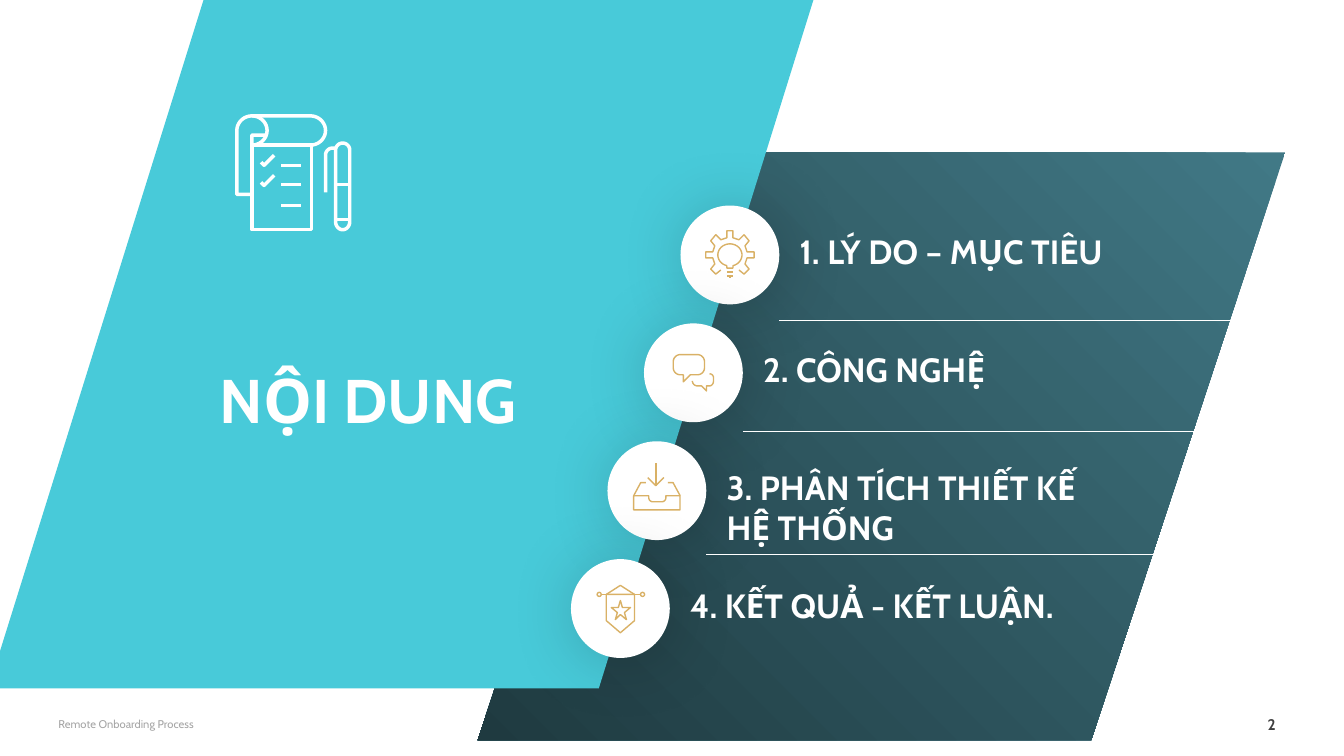
import math
from dataclasses import dataclass

import pptx
import pptx.dml.color
import pptx.enum.shapes
import pptx.enum.text
import pptx.oxml
import pptx.oxml.ns
import pptx.util

Cm = pptx.util.Cm
Pt = pptx.util.Pt
Rgb = pptx.dml.color.RGBColor.from_string
Preset = pptx.enum.shapes.MSO_SHAPE
Anchor = pptx.enum.text.MSO_ANCHOR
Align = pptx.enum.text.PP_ALIGN
Fit = pptx.enum.text.MSO_AUTO_SIZE
ICON_STEP = 0.0254


@dataclass(frozen=True)
class Theme:
    """Colours, type sizes and line widths of the slide."""
    font: str = "Cabin"
    white: str = "FFFFFF"
    panel: str = "48CAD9"
    band_light: str = "417986"
    band_dark: str = "1F3A40"
    gold: str = "D9B166"
    number: str = "404040"
    footer: str = "A6A6A6"
    title_size: int = 44
    item_size: int = 24
    number_size: int = 11
    footer_size: int = 8


@dataclass(frozen=True)
class Box:
    """A rectangle in centimetres."""
    left: float
    top: float
    width: float
    height: float

    def lengths(self):
        """Return the four sides as lengths."""
        return Cm(self.left), Cm(self.top), Cm(self.width), Cm(self.height)


THEME = Theme()


def arc(x, y, across, down, start, end):
    """Return points along an elliptical arc, in degrees clockwise from the right."""
    count = max(4, abs(end - start) // 10)
    angles = [math.radians(start + (end - start) * step / count) for step in range(count + 1)]
    return [(x + across * math.cos(angle), y + down * math.sin(angle)) for angle in angles]


def mirror(points, axis):
    """Return points reflected across a vertical axis, in reverse order."""
    return [(2 * axis - x, y) for x, y in reversed(points)]


def ring(points):
    """Return points closed back to the first."""
    return points + points[:1]


GEAR_HALF = [(58, 64), (63, 68), (68, 63), (64, 58), (66, 52), (73, 52), (73, 46),
             (66, 46), (64, 40), (68, 35), (63, 29), (58, 34), (52, 32), (52, 25)]
TRAY_FLAP = [(26, 54), (33, 41), (38, 41)]
CHECKLIST = [
    (Preset.RECTANGLE, 15, 29, 59, 84),
    [(15, 78), (0, 78), *arc(15, 14.5, 15, 14.5, 180, 450), (15, 19), (28, 19)],
    [*arc(73, 14.5, 15, 14.5, 90, -90), (15, 0)],
    *[[(44, y), (64, y)] for y in (49, 68, 89)],
    *[[(24, y), (27, y + 3), (37, y - 7)] for y in (46, 66)],
    ring(arc(105, 105, 7, 8, 0, 180) + arc(105, 34, 7, 7, 180, 360)),
    *[[(98, y), (112, y)] for y in (103, 68)],
    [(88, 76), *arc(95, 39, 7, 7, 180, 270), (98, 32)],
]
GEAR = [
    GEAR_HALF + mirror(GEAR_HALF, 49),
    *[[(46, y), (52, y)] for y in (66, 70)],
    [(49, 70), (49, 72)],
    ring(arc(49, 49, 12, 11, 105, 435) + [(52, 62), (46, 62)]),
]
CHAT = [
    ring(arc(36, 38, 7, 7, 180, 270) + arc(53, 38, 7, 7, 270, 360) + arc(53, 44, 7, 7, 0, 90)
         + [(46, 51), (39, 58), (39, 51)] + arc(36, 44, 7, 7, 90, 180)),
    arc(53, 57, 5, 5, 180, 90) + [(57, 62), (62, 67), (62, 62)]
    + arc(65, 57, 4, 5, 90, 0) + arc(65, 54, 4, 4, 0, -90),
]
TRAY = [
    ring([(72, 68), (26, 68), (26, 54), (41, 54), *arc(45, 56, 4, 4, 180, 90),
          *arc(54, 56, 4, 4, 90, 0), (58, 54), (72, 54)]),
    TRAY_FLAP,
    mirror(TRAY_FLAP, 49),
    [(48, 44), (48, 22)],
    [(56, 36), (48, 44), (40, 36)],
]
BADGE = [
    [(30, 35), (69, 35)],
    *[(Preset.OVAL, x, 33, 4, 4) for x in (69, 26)],
    ring([(63, 35), (35, 35), (35, 61), (49, 73), (63, 61)]),
    [(35, 35), (49, 26), (63, 35)],
    ring([(49, 41), (51, 48), (59, 48), (53, 53), (55, 60),
          (49, 55), (44, 60), (46, 53), (40, 48), (47, 48)]),
]
ITEMS = [
    ("1. LÝ DO – MỤC TIÊU", GEAR, 1.02, (2.9, 11.4)),
    ("2. CÔNG NGHỆ", CHAT, 1.02, (2.72, 11.61)),
    ("3. PHÂN TÍCH THIẾT KẾ HỆ THỐNG", TRAY, 2.05, (2.86, 11.28)),
    ("4. KẾT QUẢ - KẾT LUẬN.", BADGE, 1.02, None),
]


def assign(target, values):
    """Set each named attribute of the target."""
    for name, value in values.items():
        setattr(target, name, value)


def write(shape, text, size, color, bold=False, anchor=Anchor.TOP, **layout):
    """Put one formatted paragraph in a shape."""
    frame = shape.text_frame
    assign(frame, dict(margin_left=0, margin_top=0, margin_right=0, margin_bottom=0,
                       word_wrap=True, auto_size=Fit.SHAPE_TO_FIT_TEXT, vertical_anchor=anchor))
    para = frame.paragraphs[0]
    assign(para, {"alignment": Align.LEFT, **layout})
    span = para.add_run()
    span.text = text
    assign(span.font, dict(name=THEME.font, size=Pt(size), bold=bold))
    span.font.color.rgb = Rgb(color)


def add_label(page, box, *text, **layout):
    """Add a text box."""
    write(page.shapes.add_textbox(*box.lengths()), *text, **layout)


def clean(shape, color=None):
    """Drop the shadow and outline and set a plain fill, if any."""
    shape.shadow.inherit = False
    shape.line.fill.background()
    if color:
        shape.fill.solid()
        shape.fill.fore_color.rgb = Rgb(color)
    else:
        shape.fill.background()


def add_path(page, points):
    """Add an outline through points in centimetres, closed if it returns to its start."""
    corners = [(Cm(x), Cm(y)) for x, y in points]
    builder = page.shapes.build_freeform(*corners[0], scale=1.0)
    builder.add_line_segments(corners[1:], close=points[0] == points[-1])
    shape = builder.convert_to_shape()
    clean(shape)
    return shape


def add_rule(page, start, end):
    """Add a straight line between two points in centimetres."""
    ends = [Cm(value) for value in (*start, *end)]
    rule = page.shapes.add_connector(pptx.enum.shapes.MSO_CONNECTOR.STRAIGHT, *ends)
    rule._element.spPr.append(pptx.oxml.parse_xml(
        f'<a:effectLst {pptx.oxml.ns.nsdecls("a")}/>'))
    return rule


def pen(shape, color, width):
    """Set the line colour and width."""
    shape.line.color.rgb = Rgb(color)
    shape.line.width = Pt(width)


def add_icon(page, box, strokes, color, width):
    """Draw an icon as one group from the corner of the box."""
    parts = []
    for stroke in strokes:
        if isinstance(stroke, tuple):
            preset, x, y, across, down = stroke
            place = Box(box.left + x * ICON_STEP, box.top + y * ICON_STEP,
                        across * ICON_STEP, down * ICON_STEP)
            part = page.shapes.add_shape(preset, *place.lengths())
            clean(part)
        else:
            points = [(box.left + x * ICON_STEP, box.top + y * ICON_STEP) for x, y in stroke]
            part = add_rule(page, *points) if len(points) == 2 else add_path(page, points)
        pen(part, color, width)
        parts.append(part)
    page.shapes.add_group_shape(shapes=parts)


def add_band(page, box):
    """Draw the dark slanted band."""
    band = page.shapes.add_shape(Preset.PARALLELOGRAM, *box.lengths())
    clean(band)
    band.adjustments[0] = 0.33
    band.fill.gradient()
    band.fill.gradient_angle = 225
    for stop, color in zip(band.fill.gradient_stops, (THEME.band_light, THEME.band_dark)):
        stop.color.rgb = Rgb(color)


def add_title_panel(page, box):
    """Draw the bright panel with its icon and title."""
    right, bottom = box.left + box.width, box.top + box.height
    panel = add_path(page, ring([(box.left + 5.13, box.top), (right, box.top),
                                 (right - 5.41, bottom), (box.left, bottom),
                                 (box.left, bottom - 0.94)]))
    clean(panel, THEME.panel)
    title = page.shapes.title
    page.shapes._spTree.append(title._element)
    place = Box(box.left + 5.54, box.top + 9.32, 9.42, 1.7)
    assign(title, dict(zip(("left", "top", "width", "height"), place.lengths())))
    write(title, "NỘI DUNG", THEME.title_size, THEME.white, True, Anchor.MIDDLE, line_spacing=0.9)
    add_icon(page, Box(box.left + 5.97, box.top + 2.92, 2.84, 2.87), CHECKLIST, THEME.white, 2.5)


def add_item(page, box, label, icon, height, rule):
    """Place one agenda entry: disc, icon, label and the rule below."""
    disc = page.shapes.add_shape(Preset.OVAL, *box.lengths())
    clean(disc, THEME.white)
    disc._element.spPr.find(pptx.oxml.ns.qn("a:effectLst")).append(pptx.oxml.parse_xml(
        f'<a:outerShdw {pptx.oxml.ns.nsdecls("a")} blurRad="{Pt(50)}" dist="{Pt(3)}" '
        'dir="2700000" rotWithShape="0"><a:srgbClr val="000000"><a:alpha val="20000"/>'
        '</a:srgbClr></a:outerShdw>'))
    add_label(page, Box(box.left + 3, box.top + 0.64, 9.83, height),
              label, THEME.item_size, THEME.white, True)
    if rule:
        drop, length = rule
        start = box.left + box.width
        pen(add_rule(page, (start, box.top + drop), (start + length, box.top + drop)),
            THEME.white, 0.5)
    add_icon(page, box, icon, THEME.gold, 1)


def add_agenda(page, box):
    """Step the entries down and left along the slanted edge."""
    for index, item in enumerate(ITEMS):
        add_item(page, Box(box.left - 0.92 * index, box.top + 2.97 * index, 2.49, 2.49), *item)


def add_footer(page, box):
    """Write the footer text and the page number."""
    add_label(page, Box(box.left, box.top + 0.07, 3.66, 0.33), "Remote Onboarding Process",
              THEME.footer_size, THEME.footer, anchor=Anchor.MIDDLE)
    add_label(page, Box(box.left + box.width - 0.66, box.top, 0.66, 0.48), "2",
              THEME.number_size, THEME.number, True, Anchor.MIDDLE, alignment=Align.CENTER)


def main():
    """Build the deck and save it."""
    deck = pptx.Presentation()
    assign(deck, dict(slide_width=Cm(33.87), slide_height=Cm(19.05)))
    page = deck.slides.add_slide(deck.slide_layouts[5])
    add_footer(page, Box(1.47, 18.01, 30.91, 0.48))
    add_band(page, Box(12.04, 3.84, 20.35, 14.81))
    add_title_panel(page, Box(0, 0, 20.5, 17.35))
    add_agenda(page, Box(17.15, 5.18, 15.24, 11.4))
    deck.save("out.pptx")


if __name__ == "__main__":
    main()
